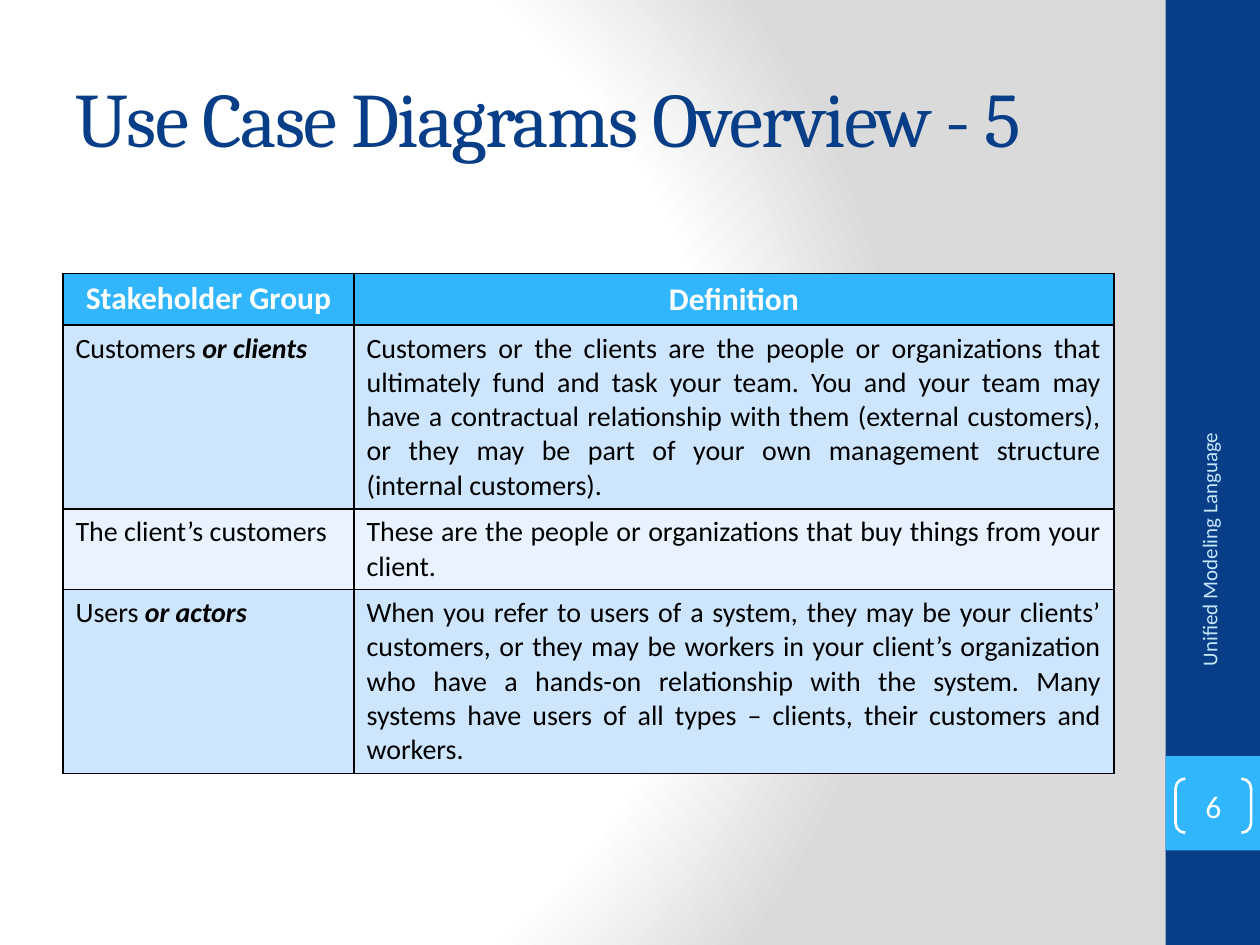
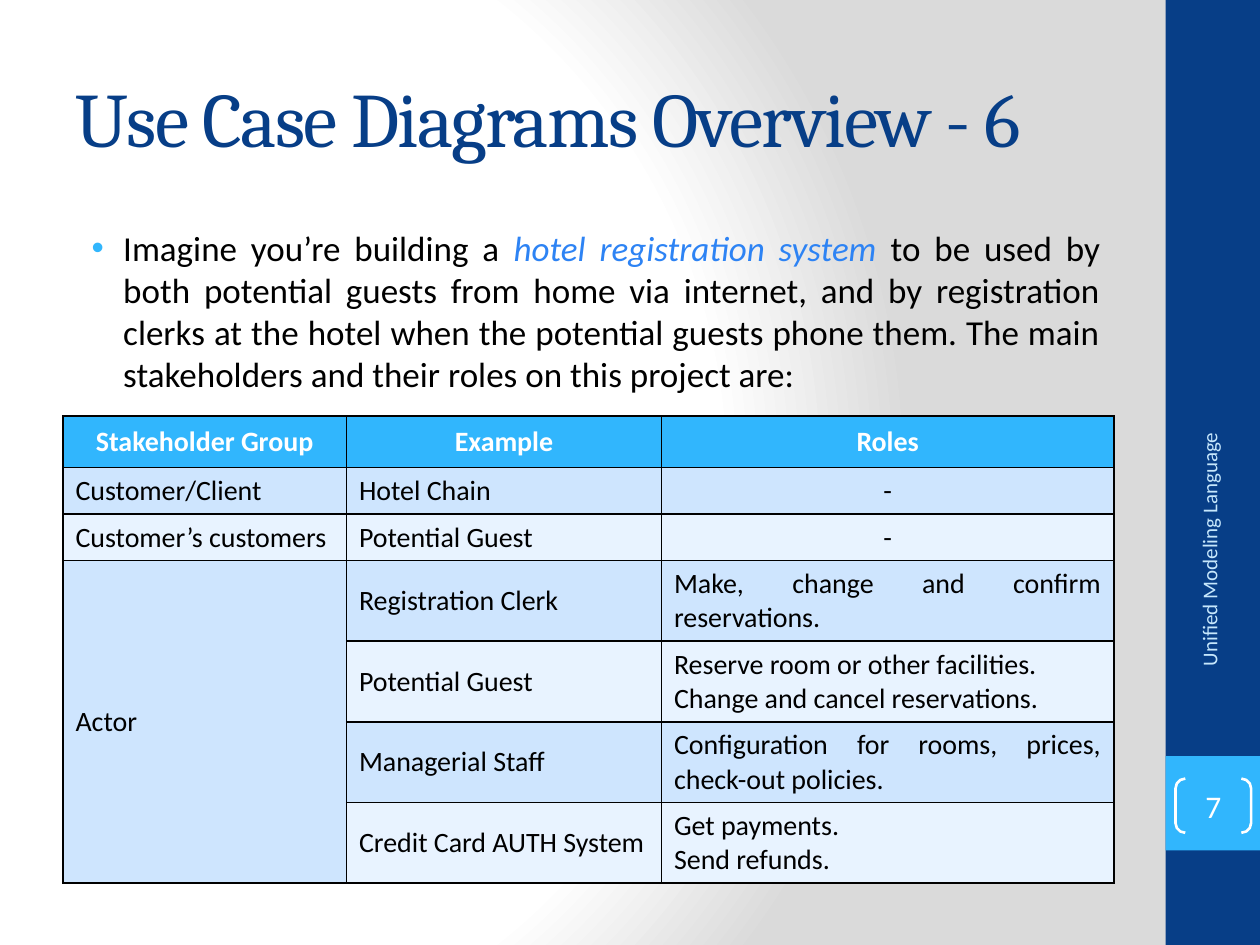
import pptx
import pptx.dml.color
import pptx.enum.shapes
import pptx.enum.text
import pptx.oxml
import pptx.oxml.ns
import pptx.util
from lxml import etree

Inches = pptx.util.Inches
Pt = pptx.util.Pt
ALIGN = pptx.enum.text.PP_ALIGN
ANCHOR = pptx.enum.text.MSO_ANCHOR
SHAPE = pptx.enum.shapes.MSO_SHAPE
qn = pptx.oxml.ns.qn

COLORS = {
    "navy": "073E87",
    "sky": "31B6FD",
    "band_dark": "CEE5FE",
    "band_light": "E8F3FF",
    "footer": "C6E7FC",
    "accent": "2D83F4",
    "black": "000000",
    "white": "FFFFFF",
    "grey": "DADADA",
}
TITLE = {"name": "Cambria", "size": Pt(44), "color": "navy"}
BODY = {"name": "Calibri", "size": Pt(20), "color": "black"}
CELL = {**BODY, "size": Pt(16)}
HEADER = {**CELL, "color": "white", "bold": True}
FOOTER = {**BODY, "size": Pt(12), "color": "footer"}
NUMBER = {**BODY, "size": Pt(18), "color": "white"}
STRONG = {"bold": True, "italic": True}


def rgb(name):
    """Return the named colour."""
    return pptx.dml.color.RGBColor.from_string(COLORS[name])


def set_format(r, fmt):
    """Apply a dict of font values to a run."""
    for key, value in fmt.items():
        if key == "color":
            r.font.color.rgb = rgb(value)
        else:
            setattr(r.font, key, value)


def write(tf, paragraphs, fmt, align=ALIGN.LEFT):
    """Write paragraphs, each a string or a list of (text, changes) runs."""
    for i, runs in enumerate(paragraphs):
        p = tf.paragraphs[0] if i == 0 else tf.add_paragraph()
        p.alignment = align
        for text, changes in [(runs, {})] if isinstance(runs, str) else runs:
            r = p.add_run()
            r.text = text
            set_format(r, {**fmt, **changes})


def add_text(s, box, paragraphs, fmt, align=ALIGN.LEFT, anchor=ANCHOR.MIDDLE):
    """Add a wrapping text box and return it."""
    sp = s.shapes.add_textbox(*map(Inches, box))
    sp.text_frame.word_wrap = True
    sp.text_frame.vertical_anchor = anchor
    write(sp.text_frame, paragraphs, fmt, align)
    return sp


def add_band(s, top, height, color):
    """Add a filled block on the right-hand band."""
    sp = s.shapes.add_shape(SHAPE.RECTANGLE, *map(Inches, (9.25, top, 0.75, height)))
    sp.shadow.inherit = False
    sp.fill.solid()
    sp.fill.fore_color.rgb = rgb(color)
    sp.line.fill.background()


def add_background(s):
    """Give the slide its radial gradient."""
    stops = "".join(
        f'<a:gs pos="{pos}000"><a:srgbClr val="{COLORS[color]}"/></a:gs>'
        for pos, color in ((0, "white"), (75, "white"), (100, "grey"))
    )
    bg = pptx.oxml.parse_xml(
        f'<p:bg {pptx.oxml.ns.nsdecls("p", "a")}><p:bgPr><a:gradFill rotWithShape="1">'
        f'<a:gsLst>{stops}</a:gsLst><a:path path="circle">'
        '<a:fillToRect l="20000" t="50000" r="100000" b="50000"/></a:path>'
        "</a:gradFill><a:effectLst/></p:bgPr></p:bg>"
    )
    s.element.find(qn("p:cSld")).insert(0, bg)


def add_number(s, number):
    """Add the bracketed slide number."""
    sp = s.shapes.add_shape(SHAPE.DOUBLE_BRACKET, *map(Inches, (9.33, 6.18, 0.6, 0.43)))
    sp.shadow.inherit = False
    sp.adjustments[0] = 0.18
    sp.fill.background()
    sp.line.color.rgb = rgb("white")
    sp.line.width = Pt(1.5)
    tf = sp.text_frame
    for side in ("left", "top", "right", "bottom"):
        setattr(tf, f"margin_{side}", 0)
    tf.vertical_anchor = ANCHOR.MIDDLE
    write(tf, [str(number)], NUMBER, ALIGN.CENTER)


def add_base_slide(prs, title, number):
    """Add a slide with background, side band, title and footer."""
    s = prs.slides.add_slide(prs.slide_layouts[6])
    add_background(s)
    add_band(s, 0, 7.5, "navy")
    add_band(s, 6, 0.75, "sky")
    sp = add_text(s, (0.5, 0.3, 8.33, 1.25), [title], TITLE)
    sp.text_frame.paragraphs[0].runs[0].font._element.set("spc", "-100")
    sp = add_text(s, (8.3, 4.43, 2.59, 0.4), ["Unified Modeling Language"], FOOTER, ALIGN.RIGHT)
    sp.rotation = 270
    add_number(s, number)
    return s


def add_bullet(s, box, runs):
    """Add a justified bullet paragraph."""
    sp = add_text(s, box, [runs], BODY, ALIGN.JUSTIFY, ANCHOR.TOP)
    p = sp.text_frame.paragraphs[0]
    p.space_before = Pt(4.3)
    pPr = p._p.get_or_add_pPr()
    pPr.set("marL", str(Inches(0.38)))
    pPr.set("indent", str(Inches(-0.25)))
    color = etree.SubElement(pPr, qn("a:buClr"))
    etree.SubElement(color, qn("a:srgbClr"), val=COLORS["sky"])
    etree.SubElement(pPr, qn("a:buFont"), typeface="Arial")
    etree.SubElement(pPr, qn("a:buChar"), char="•")


def set_borders(cell):
    """Draw a thin black line on all four sides of a cell."""
    tcPr = cell._tc.get_or_add_tcPr()
    for i, side in enumerate("LRTB"):
        ln = etree.Element(qn(f"a:ln{side}"), w=str(Pt(1)))
        fill = etree.SubElement(ln, qn("a:solidFill"))
        etree.SubElement(fill, qn("a:srgbClr"), val=COLORS["black"])
        tcPr.insert(i, ln)


def add_table(s, top, widths, heights, rows, aligns, header, top_column=None):
    """Add a banded table; None marks a cell that a merge covers."""
    box = (0.5, top, sum(widths), sum(heights))
    table = s.shapes.add_table(len(rows), len(widths), *map(Inches, box)).table
    table.horz_banding = False
    for column, width in zip(table.columns, widths):
        column.width = Inches(width)
    for i, (row, height) in enumerate(zip(rows, heights)):
        table.rows[i].height = Inches(height)
        band = "sky" if i == 0 else ("band_light", "band_dark")[i % 2]
        for j, paragraphs in enumerate(row):
            cell = table.cell(i, j)
            cell.fill.solid()
            cell.fill.fore_color.rgb = rgb(band)
            set_borders(cell)
            cell.vertical_anchor = ANCHOR.TOP if j == top_column else ANCHOR.MIDDLE
            if paragraphs is None:
                continue
            centred = i == 0 or paragraphs == ["-"]
            align = ALIGN.CENTER if centred else aligns[j]
            write(cell.text_frame, paragraphs, header if i == 0 else CELL, align)
    return table


def add_definitions_slide(prs):
    """Add the slide that defines the stakeholder groups."""
    s = add_base_slide(prs, "Use Case Diagrams Overview - 5", 6)
    rows = [
        (["Stakeholder Group"], ["Definition"]),
        (
            [[("Customers ", {}), ("or clients", STRONG)]],
            ["Customers or the clients are the people or organizations that ultimately fund "
             "and task your team. You and your team may have a contractual relationship with "
             "them (external customers), or they may be part of your own management "
             "structure (internal customers)."],
        ),
        (
            ["The client’s customers"],
            ["These are the people or organizations that buy things from your client."],
        ),
        (
            [[("Users ", {}), ("or actors", STRONG)]],
            ["When you refer to users of a system, they may be your clients’ customers, or "
             "they may be workers in your client’s organization who have a hands-on "
             "relationship with the system. Many systems have users of all types – clients, "
             "their customers and workers."],
        ),
    ]
    add_table(s, 2.17, (2.31, 6.03), (0.41, 1.46, 0.64, 1.46), rows,
              [ALIGN.JUSTIFY] * 2, {**HEADER, "size": Pt(18)}, top_column=0)


def add_example_slide(prs):
    """Add the slide with the hotel registration example."""
    s = add_base_slide(prs, "Use Case Diagrams Overview - 6", 7)
    add_bullet(s, (0.5, 1.75, 8.33, 5.25), [
        ("Imagine you’re building a ", {}),
        ("hotel registration system", {"color": "accent", "italic": True}),
        (" to be used by both potential guests from home via internet, and by registration "
         "clerks at the hotel when the potential guests phone them. The main stakeholders "
         "and their roles on this project are:", {}),
    ])
    rows = [
        (["Stakeholder Group"], ["Example"], ["Roles"]),
        (["Customer/Client"], ["Hotel Chain"], ["-"]),
        (["Customer’s customers"], ["Potential Guest"], ["-"]),
        (["Actor"], ["Registration Clerk"], ["Make, change and confirm reservations."]),
        (None, ["Potential Guest"],
         ["Reserve room or other facilities.", "Change and cancel reservations."]),
        (None, ["Managerial Staff"], ["Configuration for rooms, prices, check-out policies."]),
        (None, ["Credit Card AUTH System"], ["Get payments.", "Send refunds."]),
    ]
    heights = [0.41] + [0.37] * 2 + [0.64] * 4
    table = add_table(s, 3.3, (2.25, 2.5, 3.59), heights, rows,
                      (ALIGN.LEFT, ALIGN.LEFT, ALIGN.JUSTIFY), HEADER)
    table.cell(3, 0).merge(table.cell(6, 0))


def main():
    """Build and save the presentation."""
    prs = pptx.Presentation()
    prs.slide_width = Inches(10)
    prs.slide_height = Inches(7.5)
    add_definitions_slide(prs)
    add_example_slide(prs)
    prs.save("out.pptx")


if __name__ == "__main__":
    main()
